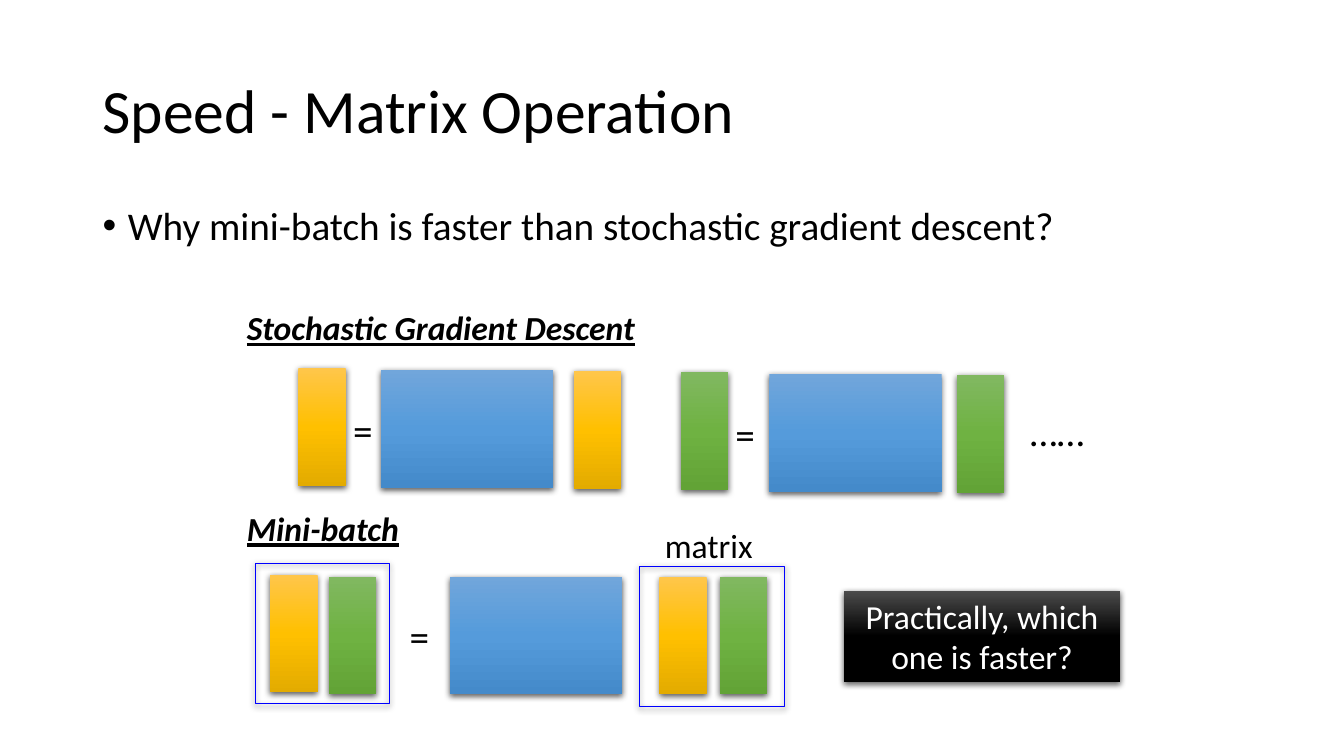
from lxml import etree
from pptx import Presentation
from pptx.dml.color import RGBColor
from pptx.enum import shapes, text
from pptx.oxml.ns import qn
from pptx.util import Inches, Pt

BLUE = ("71A6DB", "559BDB", "448ACA")
YELLOW = ("FFC64B", "FFC000", "E3AB00")
GREEN = ("81B861", "6FB242", "62A336")
BLACK = ("4B4B4B", "000000", "000000")

MATRIX_W, VECTOR_W, BLOCK_H = 1.71, 0.47, 1.17


def rgb(value):
    return RGBColor.from_string(value)


def add_color(parent, value):
    return etree.SubElement(parent, qn("a:srgbClr"), val=value)


def add_shadow(sp):
    sp.shadow.inherit = False
    effects = sp._element.spPr.find(qn("a:effectLst"))
    shadow = etree.SubElement(effects, qn("a:outerShdw"), blurRad=str(Pt(4.5)),
                              dist=str(Pt(1.5)), dir="5400000", rotWithShape="0")
    etree.SubElement(add_color(shadow, "000000"), qn("a:alpha"), val="63000")


def set_gradient(sp, colors):
    """Fill from top to bottom with three evenly spaced colours."""
    sp.fill.gradient()
    sp.fill.gradient_angle = 270
    stops = sp._element.spPr.find(qn("a:gradFill")).find(qn("a:gsLst"))
    for stop in list(stops):
        stops.remove(stop)
    for position, value in zip((0, 50000, 100000), colors):
        add_color(etree.SubElement(stops, qn("a:gs"), pos=str(position)), value)


def add_rect(s, x, y, w, h):
    sp = s.shapes.add_shape(shapes.MSO_SHAPE.RECTANGLE,
                            Inches(x), Inches(y), Inches(w), Inches(h))
    add_shadow(sp)
    return sp


def add_block(s, x, y, w, colors, h=BLOCK_H):
    sp = add_rect(s, x, y, w, h)
    set_gradient(sp, colors)
    sp.line.fill.background()
    return sp


def add_frame(s, x, y, w, h):
    sp = add_rect(s, x, y, w, h)
    sp.fill.background()
    sp.line.color.rgb = rgb("0000FF")
    sp.line.width = Pt(0.75)


def write(sp, content, size=24, color="000000", center=False, heading=False,
          anchor=text.MSO_ANCHOR.TOP, spacing=None, bullet=False):
    tf = sp.text_frame
    tf.word_wrap = True
    tf.vertical_anchor = anchor
    p = tf.paragraphs[0]
    if bullet:
        pPr = p._p.get_or_add_pPr()
        pPr.set("marL", str(Inches(0.25)))
        pPr.set("indent", str(Inches(-0.25)))
        etree.SubElement(pPr, qn("a:buFont"), typeface="Arial")
        etree.SubElement(pPr, qn("a:buChar"), char="•")
    p.alignment = text.PP_ALIGN.CENTER if center else text.PP_ALIGN.LEFT
    if spacing:
        p.line_spacing = spacing
    r = p.add_run()
    r.text = content
    r.font.name = "Calibri"
    r.font.size = Pt(size)
    r.font.color.rgb = rgb(color)
    if heading:
        r.font.bold = r.font.italic = r.font.underline = True


def add_text(s, content, x, y, w, h, **style):
    sp = s.shapes.add_textbox(Inches(x), Inches(y), Inches(w), Inches(h))
    write(sp, content, **style)


def add_equals(s, x, y):
    add_text(s, "=", x, y, 0.62, 0.57, size=28, center=True)


def add_sgd_step(s, x, y, colors, input_x):
    """Draw output vector = matrix times input vector."""
    add_block(s, x, y, VECTOR_W, colors)
    add_equals(s, x + 0.33, y + 0.33)
    add_block(s, x + 0.82 if colors is YELLOW else x + 0.88, y + 0.02, MATRIX_W, BLUE)
    add_block(s, input_x, y + 0.03, VECTOR_W, colors)


def add_batch(s, frame, yellow, green):
    """Draw a framed pair of vectors."""
    add_frame(s, *frame)
    add_block(s, *yellow, VECTOR_W, YELLOW)
    add_block(s, *green, VECTOR_W, GREEN)


def main():
    prs = Presentation()
    prs.slide_width, prs.slide_height = Inches(13.33), Inches(7.5)
    s = prs.slides.add_slide(prs.slide_layouts[6])

    add_text(s, "Speed - Matrix Operation", 0.92, 0.4, 11.5, 1.45,
             size=44, anchor=text.MSO_ANCHOR.MIDDLE, spacing=0.9)
    add_text(s, "Why mini-batch is faster than stochastic gradient descent?",
             0.92, 2, 11.5, 0.6, size=28, spacing=0.9, bullet=True)

    add_text(s, "Stochastic Gradient Descent", 2.35, 3, 4.66, 0.5, heading=True)
    add_sgd_step(s, 2.96, 3.65, YELLOW, input_x=5.69)
    add_sgd_step(s, 6.75, 3.69, GREEN, input_x=9.49)
    add_text(s, "……", 9.92, 3.99, 1.13, 0.57, size=28, center=True)

    add_text(s, "Mini-batch", 2.35, 4.99, 4.66, 0.5, heading=True)
    add_batch(s, (2.53, 5.59, 1.33, 1.39), (2.68, 5.7), (3.26, 5.72))
    add_equals(s, 3.85, 6.03)
    add_block(s, 4.46, 5.72, MATRIX_W, BLUE)
    add_text(s, "matrix", 6.3, 5.16, 1.46, 0.5, center=True)
    add_batch(s, (6.34, 5.62, 1.44, 1.39), (6.54, 5.72), (7.14, 5.72))

    question = add_block(s, 8.37, 5.86, 2.74, BLACK, h=0.91)
    write(question, "Practically, which one is faster?", color="FFFFFF", center=True)
    prs.save("out.pptx")


if __name__ == "__main__":
    main()
